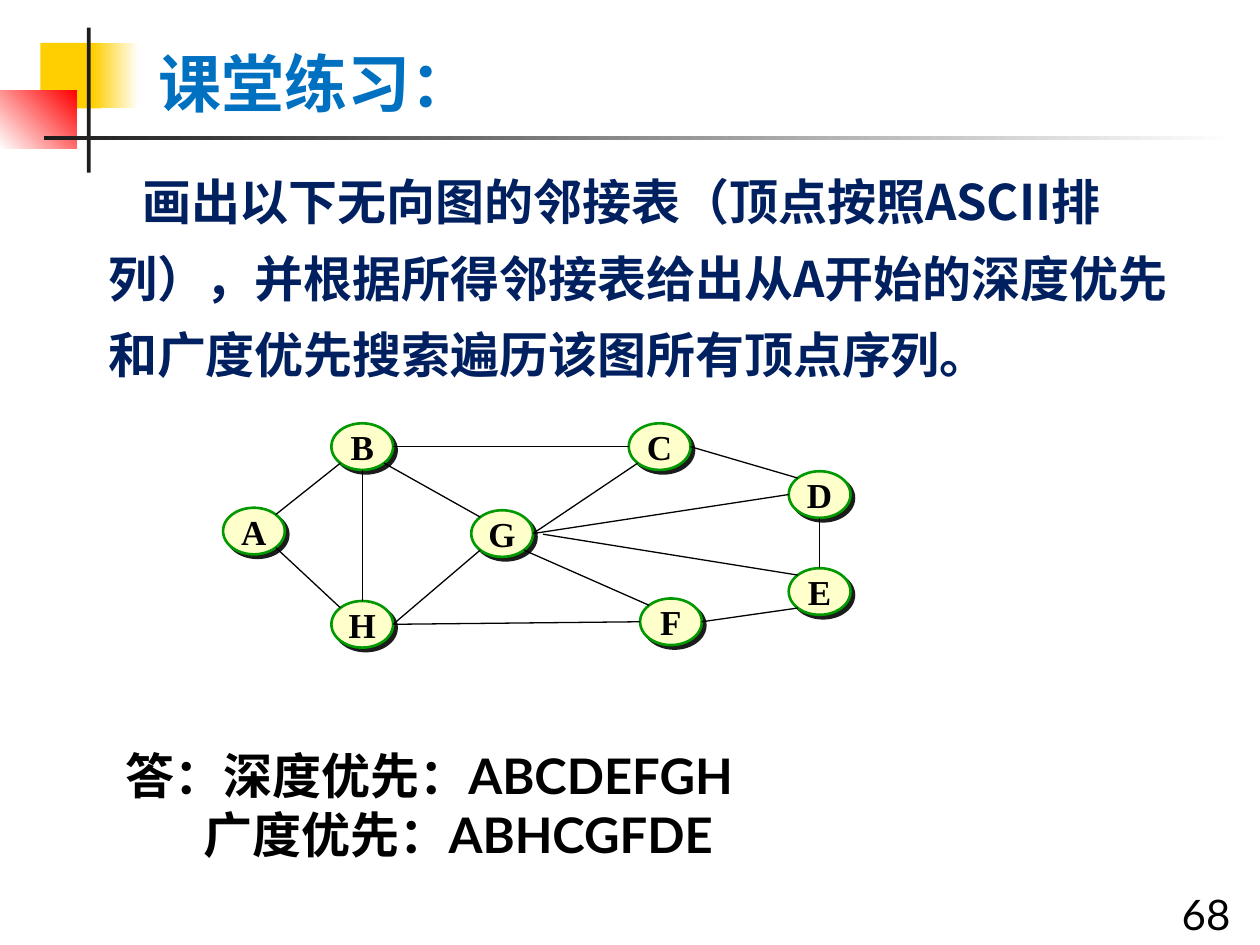
import math

import pptx
import pptx.dml.color
import pptx.enum.shapes
import pptx.enum.text
import pptx.oxml
import pptx.oxml.ns
import pptx.util

SHAPE = pptx.enum.shapes.MSO_SHAPE
ALIGN = pptx.enum.text.PP_ALIGN
ANCHOR = pptx.enum.text.MSO_ANCHOR
FIT = pptx.enum.text.MSO_AUTO_SIZE
COLS, ROWS = 100, 75
HAN = "Noto Sans CJK SC"
NODE_W, NODE_H = 4.9, 3.7

NODES = {
    "D": (62.6, 37.4), "B": (26.3, 33.6), "H": (26.3, 47.7), "G": (37.4, 40.5),
    "C": (49.9, 33.6), "F": (50.8, 47.5), "A": (17.7, 40.3), "E": (62.6, 45.1),
}
ANGLES = {"e": 0, "se": 45, "s": 90, "sw": 135, "w": 180, "nw": 225, "n": 270, "ne": 315}
EDGES = [
    ("B", "e", "C", "w"), ("A", "ne", "B", "sw"), ("A", "se", "H", "nw"),
    ("B", "s", "H", "n"), ("B", "se", "G", "nw"), ("H", "e", "G", "sw"),
    ("H", "e", "F", "w"), ("G", "e", "C", "sw"), ("G", "se", "F", "nw"),
    ("G", "e", "D", "w"), ("D", "s", "E", "n"), ("F", "e", "E", "sw"),
    ("C", "e", "D", "nw"),
]
BARS = [
    ((3.2, 3.4, 4.8, 5.2), ("FFCF01",), 0),
    ((7.4, 3.4, 3.6, 5.2), ("FFCF01", "FFFFFF"), 0),
    ((0, 7.2, 6.1, 4.6), ("FFFFFF", "FF0000"), 45),
    ((6.9, 2.2, 0.3, 11.5), ("1C1C1C",), 0),
    ((3.5, 10.8, 94.5, 0.3), ("1C1C1C", "FFFFFF"), 0),
]
SHADOW = ('<a:effectLst %s><a:outerShdw dist="35921" dir="2700000" algn="ctr" rotWithShape="0">'
          '<a:srgbClr val="1C1C1C"/></a:outerShdw></a:effectLst>' % pptx.oxml.ns.nsdecls("a"))


def tint(code):
    """Return the colour for a hex string."""
    return pptx.dml.color.RGBColor.from_string(code)


def write(para, text, size=28, font="Lato", color="000000", bold=True,
          align=ALIGN.LEFT, space=None, left=0, first=0):
    """Put formatted text in a paragraph."""
    para.alignment = align
    if space:
        para.line_spacing = space
    props = para._p.get_or_add_pPr()
    props.set("marL", str(pptx.util.Inches(left)))
    props.set("indent", str(pptx.util.Inches(first)))
    run = para.add_run()
    run.text = text
    run.font.size = pptx.util.Pt(size)
    run.font.name = font
    run.font.bold = bold
    run.font.color.rgb = tint(color)
    east = pptx.oxml.parse_xml('<a:ea %s typeface="%s"/>' % (pptx.oxml.ns.nsdecls("a"), HAN))
    run._r.get_or_add_rPr().find(pptx.oxml.ns.qn("a:latin")).addnext(east)


def site(name, side):
    """Return the point on a node's rim at a compass side."""
    left, top = NODES[name]
    turn = math.radians(ANGLES[side])
    return (left + NODE_W / 2 * (1 + math.cos(turn)), top + NODE_H / 2 * (1 + math.sin(turn)))


class Board:
    """Hold the style and the current slide."""

    def __init__(self, deck):
        """Add a blank slide and fit the grid to it."""
        self.slide = deck.slides.add_slide(deck.slide_layouts[6])
        self.shapes = self.slide.shapes
        self.col = deck.slide_width / COLS
        self.row = deck.slide_height / ROWS

    def place(self, *spans):
        """Turn columns and rows into lengths."""
        return [round(span * (self.row if i % 2 else self.col)) for i, span in enumerate(spans)]

    def bar(self, box, colors, angle):
        """Draw a plain or graded bar."""
        shape = self.shapes.add_shape(SHAPE.RECTANGLE, *self.place(*box))
        shape.shadow.inherit = False
        shape.line.fill.background()
        if len(colors) == 1:
            shape.fill.solid()
            shape.fill.fore_color.rgb = tint(colors[0])
            return
        shape.fill.gradient()
        shape.fill.gradient_angle = angle
        for stop, color in zip(shape.fill.gradient_stops, colors):
            stop.color.rgb = tint(color)

    def text(self, box, lines, wrap=True, grow=True, anchor=ANCHOR.TOP, **style):
        """Add a text box of (text, format) lines."""
        frame = self.shapes.add_textbox(*self.place(*box)).text_frame
        frame.word_wrap = wrap
        frame.auto_size = FIT.SHAPE_TO_FIT_TEXT if grow else FIT.NONE
        frame.vertical_anchor = anchor
        for i, (line, extra) in enumerate(lines):
            para = frame.add_paragraph() if i else frame.paragraphs[0]
            write(para, line, **style, **extra)

    def node(self, name, spot):
        """Draw a graph node with its letter."""
        shape = self.shapes.add_shape(SHAPE.OVAL, *self.place(*spot, NODE_W, NODE_H))
        shape.fill.solid()
        shape.fill.fore_color.rgb = tint("FFFFCC")
        shape.line.color.rgb = tint("009900")
        shape.line.width = pptx.util.Pt(1.5)
        shape._element.spPr.append(pptx.oxml.parse_xml(SHADOW))
        frame = shape.text_frame
        frame.word_wrap = False
        frame.vertical_anchor = ANCHOR.MIDDLE
        write(frame.paragraphs[0], name, size=20, font="Times New Roman", align=ALIGN.CENTER)

    def edge(self, start, end):
        """Draw a thin line between two points."""
        kind = pptx.enum.shapes.MSO_CONNECTOR.STRAIGHT
        line = self.shapes.add_connector(kind, *self.place(*start, *end))
        line.line.color.rgb = tint("000000")
        line.line.width = pptx.util.Pt(0.75)
        line._element.spPr.append(pptx.oxml.parse_xml(
            "<a:effectLst %s/>" % pptx.oxml.ns.nsdecls("a")))


def main():
    """Build the slide and save it."""
    deck = pptx.Presentation()
    deck.slide_width = pptx.util.Inches(10)
    deck.slide_height = pptx.util.Inches(7.5)
    board = Board(deck)
    for bar in BARS:
        board.bar(*bar)
    board.text((92.8, 70, 7.2, 5), [("68", {})], grow=False, size=24, bold=False)
    task = ("画出以下无向图的邻接表（顶点按照ASCII排列），并根据所得邻接表给出从A开始的"
            "深度优先和广度优先搜索遍历该图所有顶点序列。")
    board.text((7.6, 12.1, 87.8, 18.5), [(task, {"first": 0.27})], anchor=ANCHOR.MIDDLE,
               font=HAN, color="002060", space=1.3)
    for name, spot in NODES.items():
        board.node(name, spot)
    for tail, out, head, into in EDGES:
        board.edge(site(tail, out), site(head, into))
    board.edge((43.1, 42.4), site("E", "nw"))
    board.text((9, 58.7, 51.5, 10.4), [("答：深度优先：ABCDEFGH", {}),
               ("广度优先：ABHCGFDE", {"left": 0.62})], wrap=False)
    board.text((11.6, 3, 27.4, 7.1), [("课堂练习：", {})], wrap=False,
               size=36, font=HAN, color="0070C0")
    deck.save("out.pptx")


if __name__ == "__main__":
    main()
